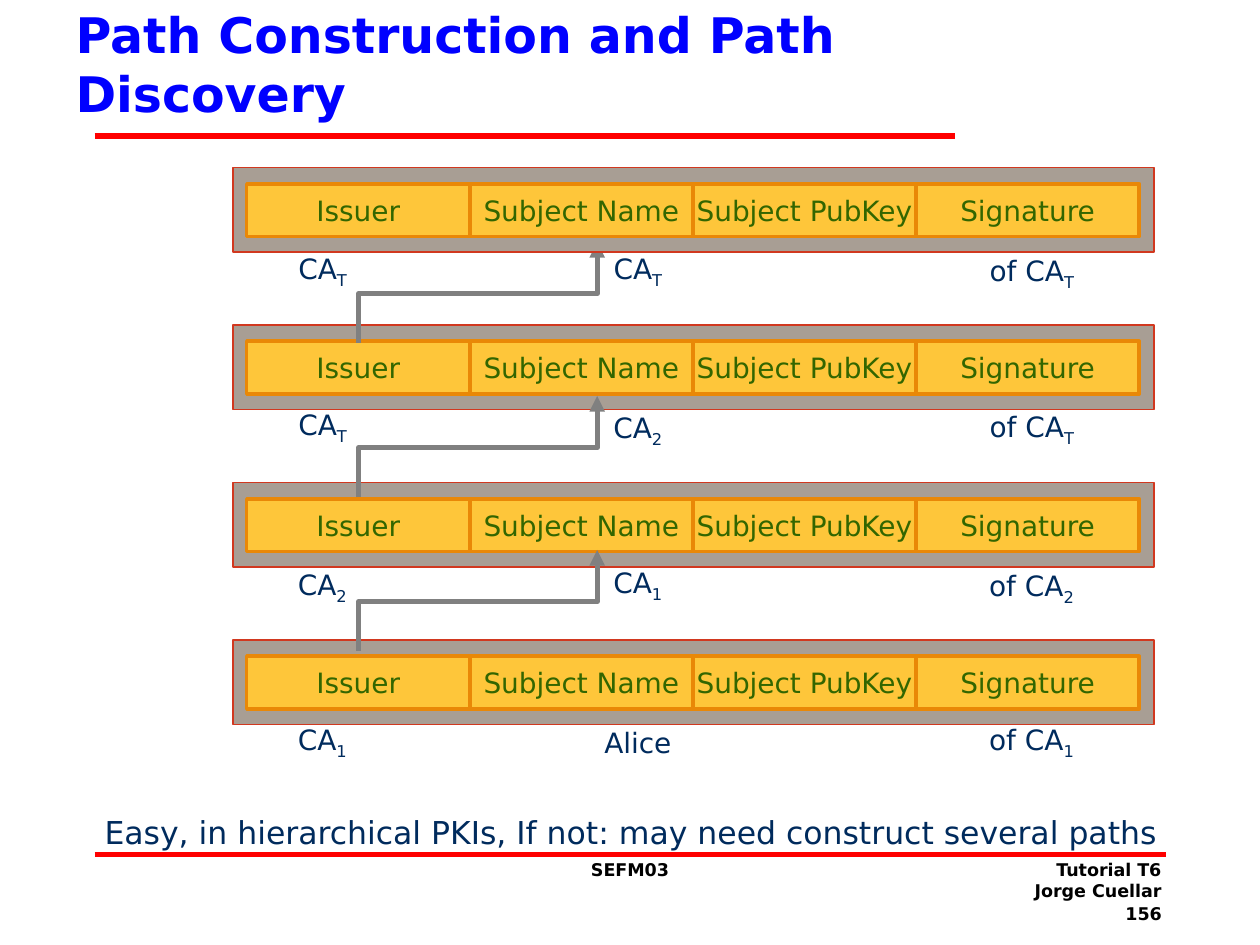
import lxml.etree
import pptx
import pptx.dml.color
import pptx.enum.shapes
import pptx.enum.text
import pptx.oxml.ns
import pptx.util

Pt = pptx.util.Pt
ALIGN = pptx.enum.text.PP_ALIGN
ANCHOR = pptx.enum.text.MSO_ANCHOR
RECTANGLE = pptx.enum.shapes.MSO_SHAPE.RECTANGLE
qn = pptx.oxml.ns.qn


class Theme:
    font = "DejaVu Sans"
    title = pptx.dml.color.RGBColor.from_string("0000FF")
    rule = pptx.dml.color.RGBColor.from_string("FF0000")
    footer = pptx.dml.color.RGBColor.from_string("000000")
    panel = pptx.dml.color.RGBColor.from_string("A89E94")
    panel_edge = pptx.dml.color.RGBColor.from_string("D1381F")
    field = pptx.dml.color.RGBColor.from_string("FEC63A")
    field_edge = pptx.dml.color.RGBColor.from_string("E98807")
    field_text = pptx.dml.color.RGBColor.from_string("336600")
    label = pptx.dml.color.RGBColor.from_string("002B5D")
    arrow = pptx.dml.color.RGBColor.from_string("808080")
    title_size, remark_size, label_size, footer_size = 28, 18, 16, 10


def write(shape, text, size, color, align, bold=False, wrap=True, spacing=None,
          left=7.2, top=3.6, anchor=ANCHOR.TOP):
    frame = shape.text_frame
    frame.word_wrap = wrap
    frame.auto_size = pptx.enum.text.MSO_AUTO_SIZE.NONE
    frame.vertical_anchor = anchor
    frame.margin_left, frame.margin_top = Pt(left), Pt(top)
    frame.margin_right, frame.margin_bottom = Pt(7.2), Pt(3.6)
    base, _, subscript = text.partition("_")
    frame.text = base
    if subscript:
        index = frame.paragraphs[0].add_run()
        index.text = subscript
        index.font._element.set("baseline", "-25000")
    for paragraph in frame.paragraphs:
        paragraph.alignment = align
        if spacing:
            paragraph.line_spacing = Pt(spacing)
        for run in paragraph.runs:
            run.font.name = Theme.font
            run.font.size = Pt(size)
            run.font.bold = bold
            run.font.color.rgb = color


def add_box(left, top, width, height, fill, edge, weight):
    box = slide.shapes.add_shape(RECTANGLE, Pt(left), Pt(top), Pt(width), Pt(height))
    box.shadow.inherit = False
    box.fill.solid()
    box.fill.fore_color.rgb = fill
    box.line.color.rgb = edge
    box.line.width = Pt(weight)
    return box


presentation = pptx.Presentation()
presentation.slide_width, presentation.slide_height = Pt(720), Pt(540)
slide = presentation.slides.add_slide(presentation.slide_layouts[5])

title = slide.shapes.title
title.left, title.top, title.width, title.height = Pt(36), Pt(0), Pt(481.75), Pt(72.75)
write(title, "Path Construction and Path Discovery", Theme.title_size, Theme.title,
      ALIGN.LEFT, bold=True, anchor=ANCHOR.MIDDLE)

for right, height in ((545.75, 77.75), (666, 488.15)):
    rule = slide.shapes.add_connector(
        pptx.enum.shapes.MSO_CONNECTOR.STRAIGHT, Pt(54), Pt(height), Pt(right), Pt(height))
    rule.line.color.rgb = Theme.rule
    rule.line.width = Pt(3)
    lxml.etree.SubElement(rule._element.spPr, qn("a:effectLst"))

for text, left, top, width, height, align in (
    ("156", 613.5, 512.5, 57.5, 18, ALIGN.RIGHT),
    ("SEFM03", 285, 487.5, 150, 36, ALIGN.CENTER),
    ("Tutorial T6\nJorge Cuellar", 520.75, 487.5, 150, 36, ALIGN.RIGHT),
):
    footer = slide.shapes.add_textbox(Pt(left), Pt(top), Pt(width), Pt(height))
    write(footer, text, Theme.footer_size, Theme.footer, align, bold=True)

fields = ("Issuer", "Subject Name", "Subject PubKey", "Signature")
label_columns = ((166.25, ALIGN.RIGHT), (345, ALIGN.CENTER), (581.75, ALIGN.RIGHT))
certificates = (
    (("CA_T", 141.75), ("CA_T", 141.75), ("of CA_T", 142.5)),
    (("CA_T", 231), ("CA_2", 232.5), ("of CA_T", 232)),
    (("CA_2", 322), ("CA_1", 321), ("of CA_2", 322.5)),
    (("CA_1", 410.5), ("Alice", 409.75), ("of CA_1", 410.5)),
)
first_row, row_pitch = 95.75, 90
first_tip, tip_pitch = 138.25, 88
field_left, field_width = 141, 127.5
issuer_x, subject_x = 205, 341.25

for level in reversed(range(len(certificates))):
    row_top = first_row + level * row_pitch
    panel = add_box(133, row_top, 526.25, 48.25, Theme.panel, Theme.panel_edge, 1)
    for column, name in enumerate(fields):
        field = add_box(field_left + column * field_width, row_top + 9.25, field_width, 30.25,
                        Theme.field, Theme.field_edge, 2)
        write(field, name, Theme.label_size, Theme.field_text, ALIGN.CENTER,
              wrap=False, anchor=ANCHOR.MIDDLE)

    if level < len(certificates) - 1:
        tip = first_tip + level * tip_pitch
        bend = tip + 29.5
        outline = slide.shapes.build_freeform(Pt(issuer_x), Pt(tip + 57.75))
        outline.add_line_segments(
            [(Pt(issuer_x), Pt(bend)), (Pt(subject_x), Pt(bend)), (Pt(subject_x), Pt(tip))],
            close=False)
        issuer_arrow = outline.convert_to_shape()
        issuer_arrow.shadow.inherit = False
        issuer_arrow.fill.background()
        issuer_arrow.line.color.rgb = Theme.arrow
        issuer_arrow.line.width = Pt(3)
        lxml.etree.SubElement(issuer_arrow.line._get_or_add_ln(), qn("a:tailEnd"), type="triangle")
        if level == 0:
            panel._element.addprevious(issuer_arrow._element)

    for (text, top), (left, align) in zip(certificates[level], label_columns):
        label = slide.shapes.add_textbox(Pt(left), Pt(top), Pt(39), Pt(27.5))
        write(label, text, Theme.label_size, Theme.label, align, wrap=False, spacing=24, top=0)

remark = slide.shapes.add_textbox(Pt(59.75), Pt(462.25), Pt(640.75), Pt(27.5))
write(remark, "Easy, in hierarchical PKIs, If not: may need construct several paths",
      Theme.remark_size, Theme.label, ALIGN.LEFT, spacing=24, left=0, top=0)

presentation.save("out.pptx")
